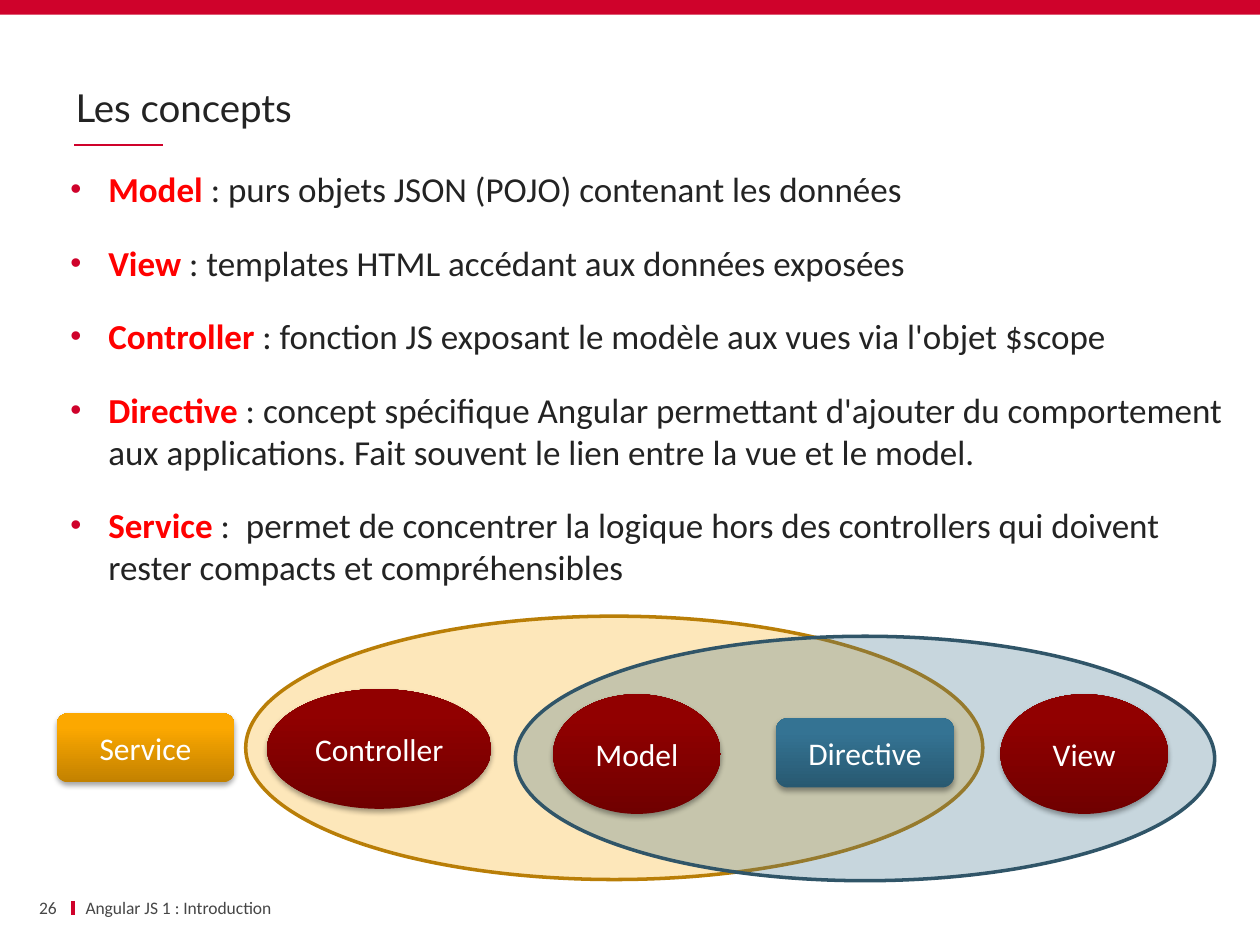
from dataclasses import dataclass

import lxml.etree
import pptx
import pptx.dml.color
import pptx.enum.shapes
import pptx.enum.text
import pptx.oxml.ns
import pptx.util

Pt = pptx.util.Pt
MSO = pptx.enum.shapes.MSO_SHAPE
ALIGN = pptx.enum.text.PP_ALIGN
ANCHOR = pptx.enum.text.MSO_ANCHOR
qn = pptx.oxml.ns.qn


@dataclass(frozen=True)
class Theme:
    accent: str = "CF022B"
    keyword: str = "FF0000"
    text: str = "232323"
    footer: str = "464646"
    white: str = "FFFFFF"
    black: str = "000000"
    red: tuple = ("700000", "910000", "920000")
    blue: tuple = ("285971", "347393", "327495")
    orange: tuple = ("C28100", "FCA800", "FDA900")
    title_size: float = 22
    body_size: float = 20
    label_size: float = 18
    footer_size: float = 10
    font: str = "Calibri"
    title_font: str = "Lato"


@dataclass(frozen=True)
class Box:
    x: float
    y: float
    w: float
    h: float


@dataclass(frozen=True)
class Concept:
    name: str
    meaning: str


@dataclass(frozen=True)
class Zone:
    box: Box
    fill: str
    opacity: int
    line: str


@dataclass(frozen=True)
class Node:
    name: str
    kind: MSO
    box: Box
    stops: tuple


THEME = Theme()

CONCEPTS = [
    Concept("Model", " : purs objets JSON (POJO) contenant les données"),
    Concept("View", " : templates HTML accédant aux données exposées"),
    Concept("Controller", " : fonction JS exposant le modèle aux vues via l'objet $scope"),
    Concept("Directive", " : concept spécifique Angular permettant d'ajouter du comportement "
            "aux applications. Fait souvent le lien entre la vue et le model."),
    Concept("Service", " :  permet de concentrer la logique hors des controllers qui doivent "
            "rester compacts et compréhensibles"),
]

ZONES = [
    Zone(Box(140.4, 352.1, 421.2, 150.5), "FAAA0A", 28, "B97E07"),
    Zone(Box(294.5, 363.6, 399.6, 139.7), "41738C", 29, "305568"),
]

NODES = [
    Node("Model", MSO.OVAL, Box(316.1, 396.7, 95.8, 68.4), THEME.red),
    Node("View", MSO.OVAL, Box(571.7, 396.7, 95.8, 68.4), THEME.red),
    Node("Controller", MSO.OVAL, Box(152.6, 393.8, 128.2, 68.4), THEME.red),
    Node("Directive", MSO.ROUNDED_RECTANGLE, Box(443.5, 410.4, 101.5, 39.6), THEME.blue),
    Node("Service", MSO.ROUNDED_RECTANGLE, Box(32.4, 407.5, 101.5, 39.6), THEME.orange),
]


def rgb(color: str) -> pptx.dml.color.RGBColor:
    return pptx.dml.color.RGBColor.from_string(color)


def add_color(parent, color: str, opacity: int = 100) -> None:
    clr = lxml.etree.SubElement(parent, qn("a:srgbClr"), val=color)
    if opacity < 100:
        lxml.etree.SubElement(clr, qn("a:alpha"), val=str(opacity * 1000))


def add_run(p, text: str, size: float, color: str, font: str = THEME.font, bold: bool = False) -> None:
    r = p.add_run()
    r.text = text
    r.font.size = Pt(size)
    r.font.name = font
    r.font.bold = bold
    r.font.color.rgb = rgb(color)


def add_line(s, x1: float, y1: float, x2: float, y2: float, width: float) -> None:
    line = s.shapes.add_connector(pptx.enum.shapes.MSO_CONNECTOR.STRAIGHT,
                                  Pt(x1), Pt(y1), Pt(x2), Pt(y2))
    line.line.color.rgb = rgb(THEME.accent)
    line.line.width = Pt(width)
    lxml.etree.SubElement(line._element.spPr, qn("a:effectLst"))


def add_text_box(s, box: Box, side: float, edge: float, anchor: ANCHOR = ANCHOR.MIDDLE):
    sp = s.shapes.add_textbox(Pt(box.x), Pt(box.y), Pt(box.w), Pt(box.h))
    tf = sp.text_frame
    tf.word_wrap = True
    tf.vertical_anchor = anchor
    tf.margin_left = tf.margin_right = Pt(side)
    tf.margin_top = tf.margin_bottom = Pt(edge)
    return tf


def add_shape(s, kind: MSO, box: Box):
    sp = s.shapes.add_shape(kind, Pt(box.x), Pt(box.y), Pt(box.w), Pt(box.h))
    sp.shadow.inherit = False
    sp.line.fill.background()
    return sp


def add_bullet(p) -> None:
    ppr = p._p.get_or_add_pPr()
    ppr.set("marL", str(Pt(21.6)))
    ppr.set("indent", str(-Pt(21.6)))
    add_color(lxml.etree.SubElement(ppr, qn("a:buClr")), THEME.accent)
    lxml.etree.SubElement(ppr, qn("a:buSzPct"), val="90000")
    lxml.etree.SubElement(ppr, qn("a:buFont"), typeface="Arial")
    lxml.etree.SubElement(ppr, qn("a:buChar"), char="•")


def add_concepts(s, concepts: list[Concept]) -> None:
    tf = add_text_box(s, Box(40.3, 95.8, 664.6, 368.6), 0, 0, ANCHOR.TOP)
    for i, concept in enumerate(concepts):
        p = tf.add_paragraph() if i else tf.paragraphs[0]
        p.space_before = Pt(18)
        add_bullet(p)
        add_run(p, concept.name, THEME.body_size, THEME.keyword, bold=True)
        add_run(p, concept.meaning, THEME.body_size, THEME.text)


def add_zone(s, zone: Zone) -> None:
    sp = add_shape(s, MSO.OVAL, zone.box)
    sp.fill.solid()
    sp.fill.fore_color.rgb = rgb(zone.fill)
    clr = sp._element.spPr.find(qn("a:solidFill")).find(qn("a:srgbClr"))
    lxml.etree.SubElement(clr, qn("a:alpha"), val=str(zone.opacity * 1000))
    sp.line.color.rgb = rgb(zone.line)
    sp.line.width = Pt(2)


def add_node(s, node: Node) -> None:
    sp = add_shape(s, node.kind, node.box)
    sp.fill.gradient()
    sp.fill.gradient_angle = 90
    stops = sp._element.spPr.find(qn("a:gradFill")).find(qn("a:gsLst"))
    for stop in list(stops):
        stops.remove(stop)
    for pos, color in zip((0, 80, 100), node.stops):
        add_color(lxml.etree.SubElement(stops, qn("a:gs"), pos=str(pos * 1000)), color)
    effects = sp._element.spPr.find(qn("a:effectLst"))
    shadow = lxml.etree.SubElement(effects, qn("a:outerShdw"), blurRad=str(Pt(3.1)),
                                   dist=str(Pt(1.8)), dir="5400000", rotWithShape="0")
    add_color(shadow, THEME.black, 35)
    tf = sp.text_frame
    tf.vertical_anchor = ANCHOR.MIDDLE
    p = tf.paragraphs[0]
    p.alignment = ALIGN.CENTER
    add_run(p, node.name, THEME.label_size, THEME.white)


def main() -> None:
    prs = pptx.Presentation()
    prs.slide_width, prs.slide_height = Pt(720), Pt(540)
    s = prs.slides.add_slide(prs.slide_layouts[6])

    add_line(s, 41.8, 514.8, 41.8, 522.7, 2.25)
    add_line(s, 42.5, 82.8, 92.9, 82.8, 1)
    band = add_shape(s, MSO.RECTANGLE, Box(0, 0, 720, 8.4))
    band.fill.solid()
    band.fill.fore_color.rgb = rgb(THEME.accent)

    add_concepts(s, CONCEPTS)
    p = add_text_box(s, Box(43.2, 49.7, 633.6, 25.9), 0, 3.6).paragraphs[0]
    p.line_spacing = 0.9
    add_run(p, "Les concepts", THEME.title_size, THEME.text, THEME.title_font)
    p = add_text_box(s, Box(9.4, 511.9, 23, 13), 0, 3.6).paragraphs[0]
    p.alignment = ALIGN.RIGHT
    add_run(p, "26", THEME.footer_size, THEME.footer)
    p = add_text_box(s, Box(41.8, 511.9, 357.8, 13), 7.2, 3.6).paragraphs[0]
    add_run(p, "Angular JS 1 : Introduction", THEME.footer_size, THEME.footer)

    for zone in ZONES:
        add_zone(s, zone)
    for node in NODES:
        add_node(s, node)
    prs.save("out.pptx")


if __name__ == "__main__":
    main()
